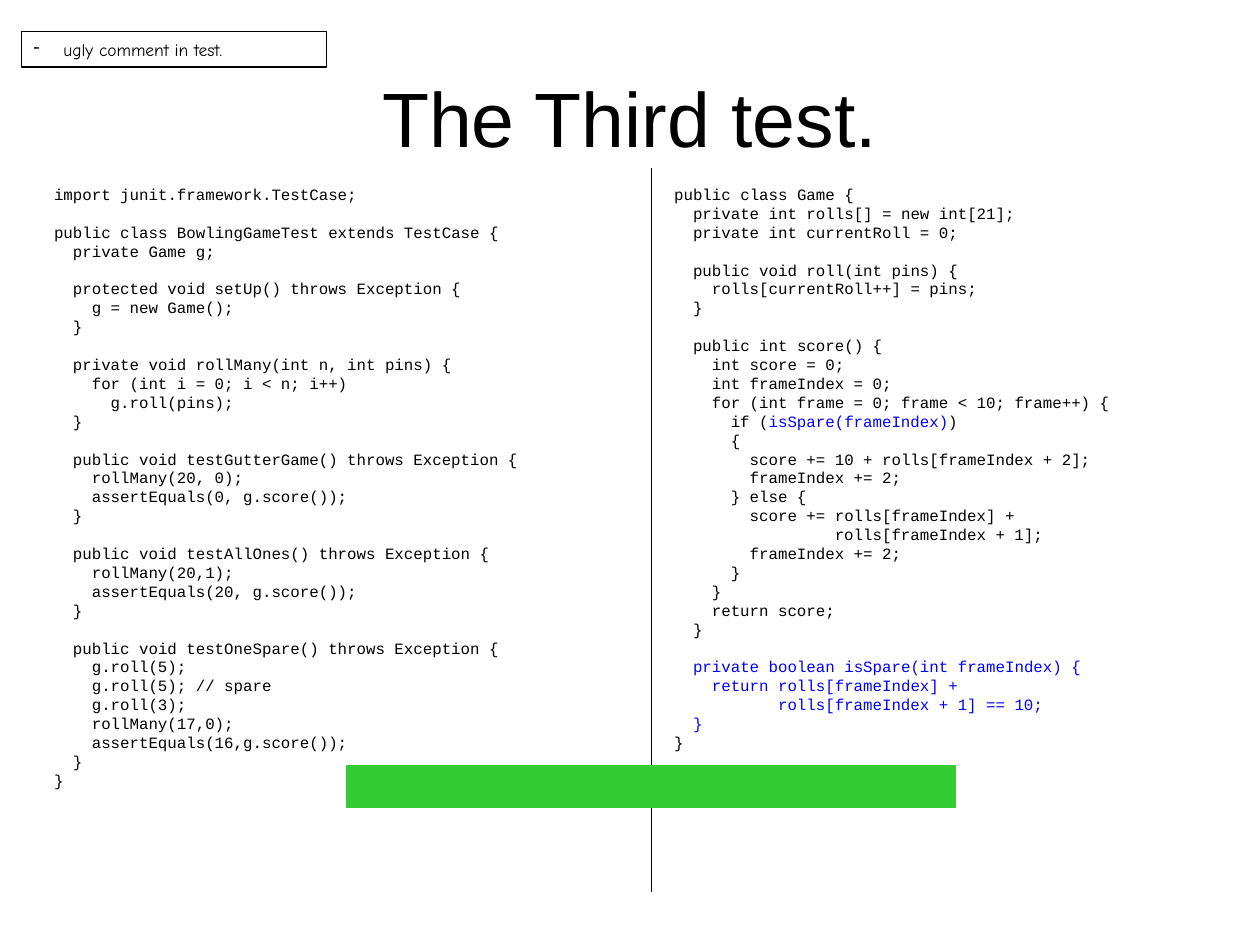
from pptx import Presentation
from pptx.dml.color import RGBColor as RGB
from pptx.enum.shapes import MSO_CONNECTOR as CONN, MSO_SHAPE as SHAPE
from pptx.enum.text import MSO_ANCHOR as ANCHOR, PP_ALIGN as ALIGN
from pptx.oxml.ns import qn
from pptx.util import Cm, Pt
from lxml import etree

COLORS = {"black": "000000", "blue": "0000FF", "green": "33CC33"}
LINE_HEIGHT = Pt(10.8)
CHAR_WIDTH = Pt(5.4)

# Text between bars is blue.
TEST_CODE = """\
import junit.framework.TestCase;

public class BowlingGameTest extends TestCase {
  private Game g;

  protected void setUp() throws Exception {
    g = new Game();
  }

  private void rollMany(int n, int pins) {
    for (int i = 0; i < n; i++)
      g.roll(pins);
  }

  public void testGutterGame() throws Exception {
    rollMany(20, 0);
    assertEquals(0, g.score());
  }

  public void testAllOnes() throws Exception {
    rollMany(20,1);
    assertEquals(20, g.score());
  }

  public void testOneSpare() throws Exception {
    g.roll(5);
    g.roll(5); // spare
    g.roll(3);
    rollMany(17,0);
    assertEquals(16,g.score());
  }
}"""

GAME_CODE = """\
public class Game {
  private int rolls[] = new int[21];
  private int currentRoll = 0;

  public void roll(int pins) {
    rolls[currentRoll++] = pins;
  }

  public int score() {
    int score = 0;
    int frameIndex = 0;
    for (int frame = 0; frame < 10; frame++) {
      if (|isSpare(frameIndex)|)
      {
        score += 10 + rolls[frameIndex + 2];
        frameIndex += 2;
      } else {
        score += rolls[frameIndex] +
                 rolls[frameIndex + 1];
        frameIndex += 2;
      }
    }
    return score;
  }

  |private boolean isSpare(int frameIndex) {|
    |return rolls[frameIndex] +|
           |rolls[frameIndex + 1] == 10;|
  |}|
}"""


def add_run(p, text, font, size, color="black"):
    r = p.add_run()
    r.text = text
    for name, value in {"name": font, "size": Pt(size)}.items():
        setattr(r.font, name, value)
    r.font.color.rgb = RGB.from_string(COLORS[color])


def add_box(left, top, width, height, line=None, fill=None):
    """Add a rectangle without shadow, its text left-aligned and wrapped."""
    sp = s.shapes.add_shape(SHAPE.RECTANGLE, Cm(left), Cm(top), Cm(width), Cm(height))
    sp.shadow.inherit = False
    sp.line.color.rgb = RGB.from_string(COLORS[line])
    sp.line.width = Pt(0.75)
    if fill:
        sp.fill.solid()
        sp.fill.fore_color.rgb = RGB.from_string(COLORS[fill])
    else:
        sp.fill.background()
    return sp


prs = Presentation()
prs.slide_width, prs.slide_height = Cm(25.4), Cm(19.05)
s = prs.slides.add_slide(prs.slide_layouts[6])

# Title
tf = s.shapes.add_textbox(Cm(1.27), Cm(0.76), Cm(22.86), Cm(3.18)).text_frame
tf.word_wrap = True
tf.vertical_anchor = ANCHOR.MIDDLE
p = tf.paragraphs[0]
p.alignment = ALIGN.CENTER
add_run(p, "The Third test.", "Arial", 44)

# Code columns: indents and blank lines become margins and spacing
for left, height, code in [(0.84, 12.4, TEST_CODE), (13.34, 11.63, GAME_CODE)]:
    tf = s.shapes.add_textbox(Cm(left), Cm(3.6), Cm(11.23), Cm(height)).text_frame
    tf.word_wrap = True
    p, gap = tf.paragraphs[0], 0
    for line in code.splitlines():
        if not line:
            gap = LINE_HEIGHT
            continue
        if p.runs:
            p = tf.add_paragraph()
        for name, value in {"line_spacing": LINE_HEIGHT, "space_before": gap}.items():
            setattr(p, name, value)
        gap = 0
        text = line.lstrip()
        indent = len(line) - len(text)
        p._p.get_or_add_pPr().set("marL", str(indent * CHAR_WIDTH))
        for i, part in enumerate(text.split("|")):
            if part:
                add_run(p, part, "Courier New", 9, "blue" if i % 2 else "black")

# Divider between the columns
divider = s.shapes.add_connector(CONN.STRAIGHT, Cm(13.13), Cm(3.38), Cm(13.13), Cm(17.98))
divider.line.color.rgb = RGB.from_string(COLORS["black"])
divider.line.width = Pt(0.75)
etree.SubElement(divider._element.spPr, qn("a:effectLst"))

# Comment note
note = add_box(0.43, 0.64, 6.15, 0.71, line="black")
note.text_frame.word_wrap = True
p = note.text_frame.paragraphs[0]
p.alignment = ALIGN.LEFT
add_run(p, "ugly comment in test.", "Comic Neue", 10)
pPr = p._p.get_or_add_pPr()
for name, value in {"marL": Cm(0.6), "indent": -Cm(0.6)}.items():
    pPr.set(name, str(value))
etree.SubElement(pPr, qn("a:buChar")).set("char", "-")

# Green bar of the passing tests
add_box(6.99, 15.44, 12.27, 0.84, line="green", fill="green")

prs.save("out.pptx")
